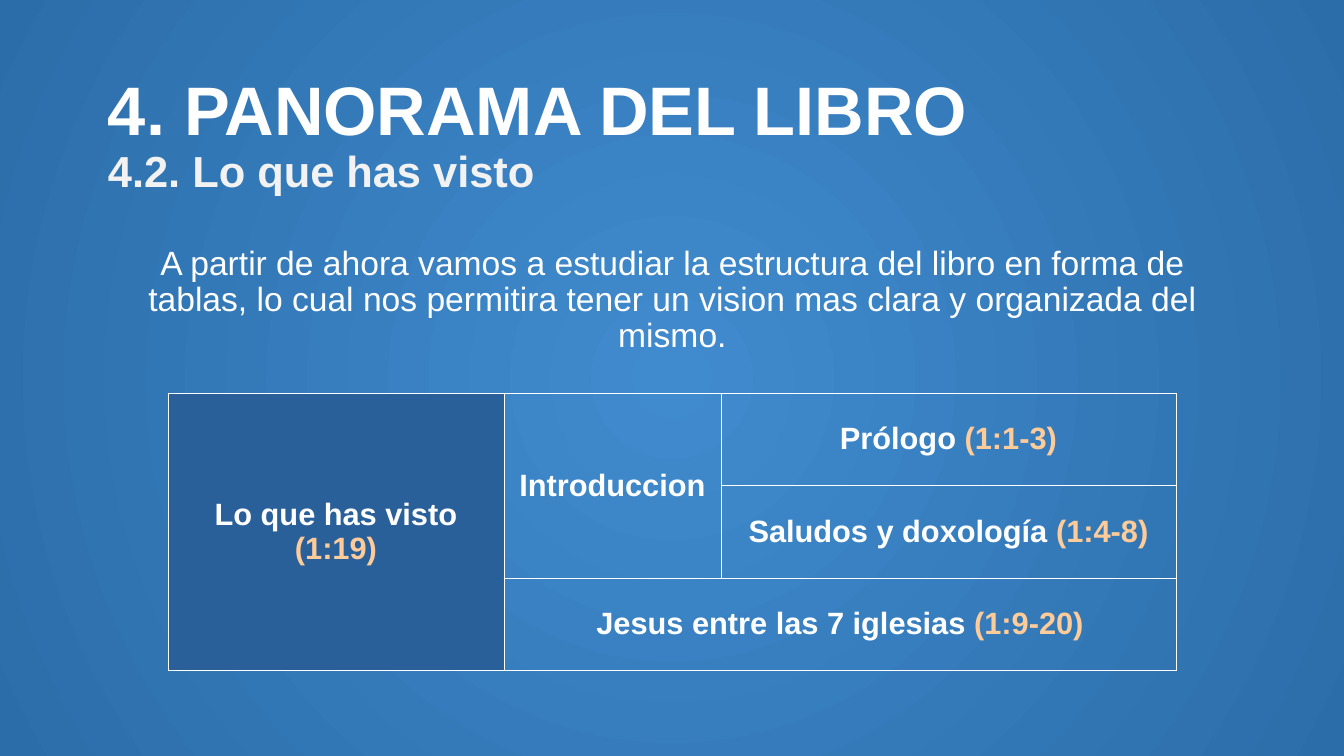
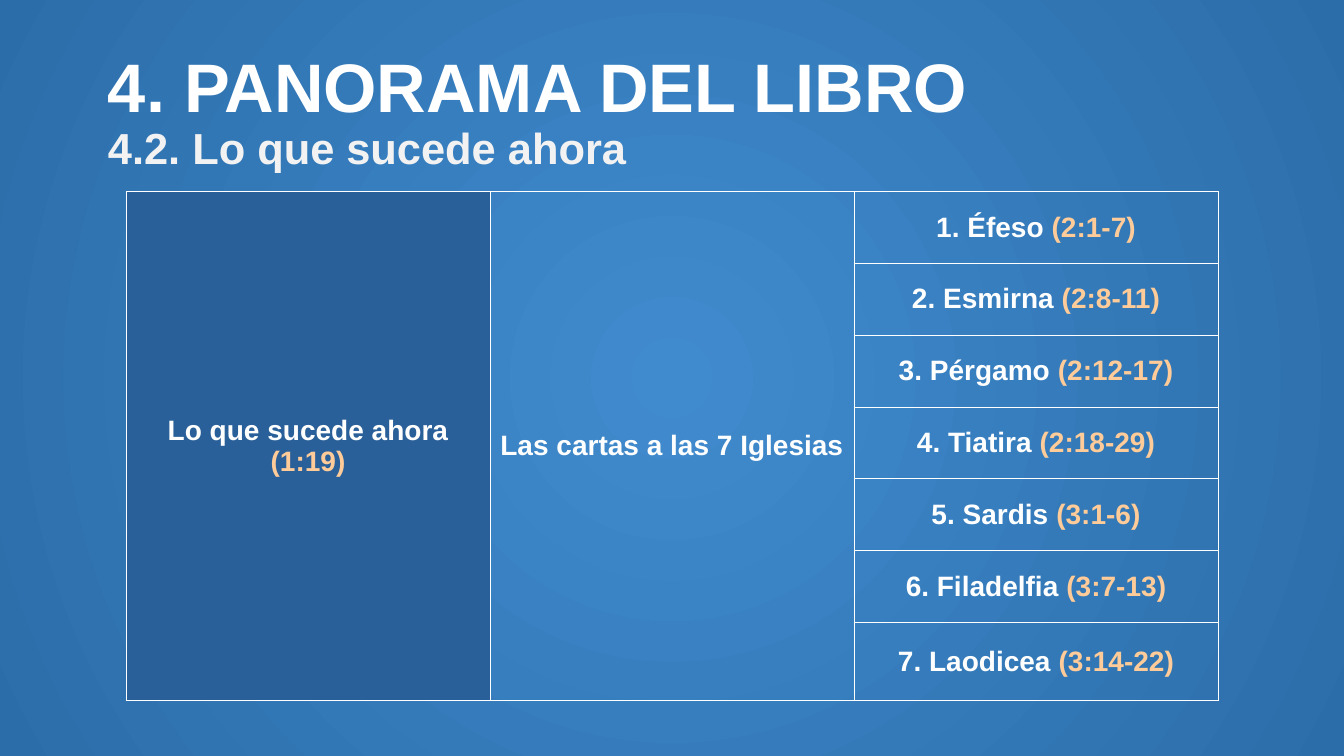
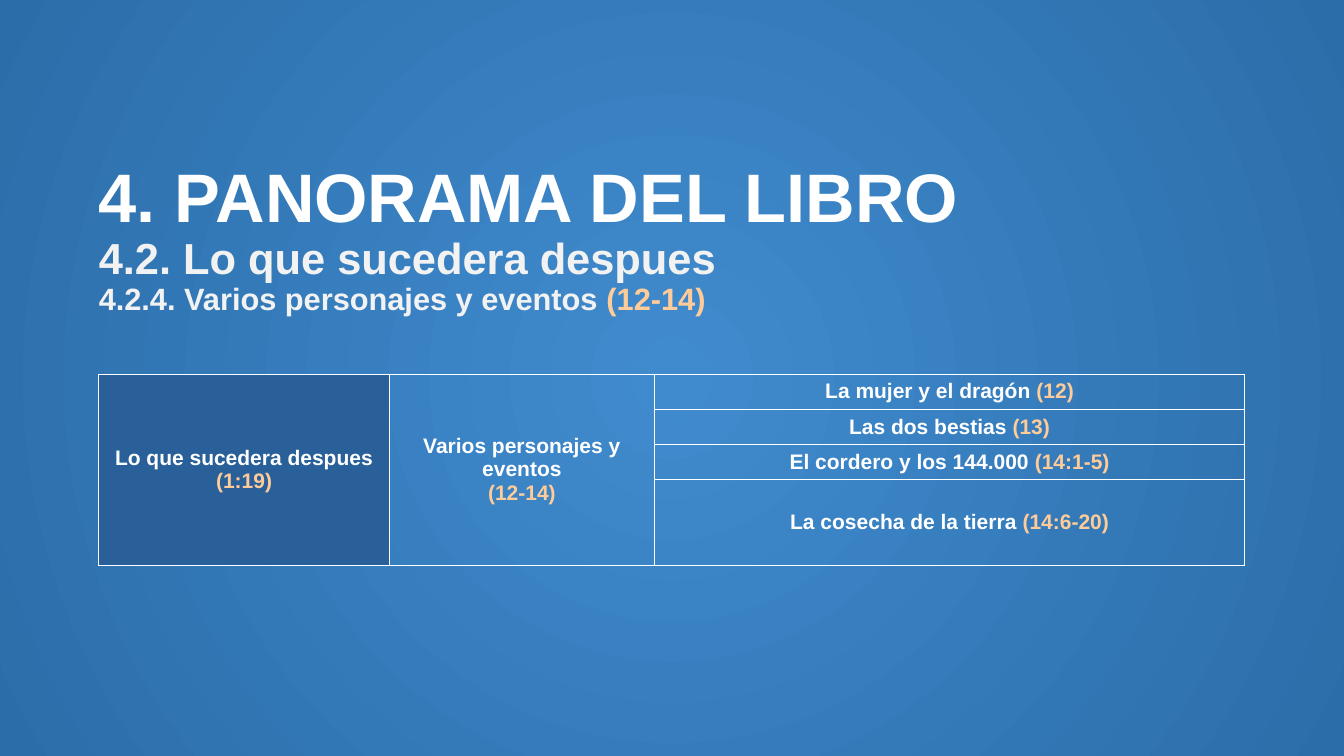
"""Build three slides that outline the structure of the book in tables."""
import copy

import lxml.etree
import pptx
import pptx.dml.color
import pptx.enum.text
import pptx.oxml
import pptx.oxml.ns
import pptx.util

RGB = pptx.dml.color.RGBColor
WHITE = RGB(0xFF, 0xFF, 0xFF)
PALE = RGB(0xF2, 0xF2, 0xF2)
PEACH = RGB(0xFF, 0xCC, 0x99)
NAVY = RGB(0x2A, 0x60, 0x99)
CENTRE_BLUE = RGB(0x40, 0x8B, 0xCE)
EDGE_BLUE = RGB(0x2B, 0x6D, 0xA9)

FONT = "Arial"
BORDER_WIDTH = pptx.util.Pt(0.57)
LEFT = pptx.enum.text.PP_ALIGN.LEFT
CENTER = pptx.enum.text.PP_ALIGN.CENTER
MIDDLE = pptx.enum.text.MSO_ANCHOR.MIDDLE
NAMESPACE = pptx.oxml.ns.nsdecls("a")


def write(paragraph, text, size, color=WHITE, bold=True):
    """Add text to a paragraph, with a reference in brackets in peach."""
    wording, bracket, reference = text.partition("(")
    for part, tint in ((wording, color), (bracket + reference, PEACH)):
        if part:
            run = paragraph.add_run()
            run.text = part
            run.font.name = FONT
            run.font.size = pptx.util.Pt(size)
            run.font.bold = bold
            run.font.color.rgb = tint
    return run


class Deck:
    """Hold the shared style and the current slide; places are percentages of the slide."""

    HEADING = "4. PANORAMA DEL LIBRO"
    HEADING_STYLES = ((49, WHITE), (31, PALE), (22, PALE))

    def __init__(self):
        self.show = pptx.Presentation()
        self.show.slide_width = pptx.util.Inches(13.33)
        self.show.slide_height = pptx.util.Inches(7.5)
        self.slide = None
        self.paint_background()

    def paint_background(self):
        fill = self.show.slide_master.background.fill
        fill.gradient()
        for stop, color in zip(fill.gradient_stops, (CENTRE_BLUE, EDGE_BLUE)):
            stop.color.rgb = color
        gradient = self.show.slide_master.element.find(".//" + pptx.oxml.ns.qn("a:gradFill"))
        linear = gradient.find(pptx.oxml.ns.qn("a:lin"))
        gradient.replace(linear, pptx.oxml.parse_xml(
            f'<a:path {NAMESPACE} path="circle">'
            '<a:fillToRect l="50000" t="50000" r="50000" b="50000"/></a:path>'))

    def area(self, left, top, width, height):
        across, down = self.show.slide_width / 100, self.show.slide_height / 100
        return [round(n) for n in (left * across, top * down, width * across, height * down)]

    def new_slide(self, layout):
        self.slide = self.show.slides.add_slide(self.show.slide_layouts[layout])

    def prepare(self, holder, place, align):
        holder.left, holder.top, holder.width, holder.height = self.area(*place)
        frame = holder.text_frame
        frame.word_wrap = True
        frame.auto_size = pptx.enum.text.MSO_AUTO_SIZE.NONE
        frame.vertical_anchor = MIDDLE
        paragraph = frame.paragraphs[0]
        paragraph.alignment = align
        paragraph.line_spacing = 0.9
        paragraph.space_before = pptx.util.Pt(0)
        return paragraph

    def title(self, left, top, *subtitles):
        paragraph = self.prepare(self.slide.shapes.title, (left, top, 85.5, 22.53), LEFT)
        run = None
        for line, (size, color) in zip((self.HEADING, *subtitles), self.HEADING_STYLES):
            if run is not None:
                paragraph.add_line_break()
                paragraph._p[-1].append(copy.deepcopy(run._r.rPr))
            run = write(paragraph, line, size, color)

    def body(self, place, text):
        paragraph = self.prepare(self.slide.placeholders[1], place, CENTER)
        properties = paragraph._p.get_or_add_pPr()
        properties.set("marL", "0")
        properties.set("indent", "0")
        lxml.etree.SubElement(properties, pptx.oxml.ns.qn("a:buNone"))
        write(paragraph, text, 24, bold=False)

    def table(self, place, columns, rows, size, entries):
        """Fill a table from entries that map (row, column, rows down, columns across) to text."""
        left, top, width, height = self.area(*place)
        grid = self.slide.shapes.add_table(
            len(rows), len(columns), left, top, width, height).table
        grid.first_row = grid.horz_banding = False
        for column, share in zip(grid.columns, columns):
            column.width = round(width * share / sum(columns))
        for row, share in zip(grid.rows, rows):
            row.height = round(height * share / sum(rows))
        for cell in grid.iter_cells():
            self.style_cell(cell)
        for (row, column, down, across), text in entries.items():
            cell = grid.cell(row, column)
            if down * across > 1:
                cell.merge(grid.cell(row + down - 1, column + across - 1))
            if column == 0:
                cell.fill.solid()
                cell.fill.fore_color.rgb = NAVY
            for number, line in enumerate(text.split("\n")):
                frame = cell.text_frame
                paragraph = frame.add_paragraph() if number else frame.paragraphs[0]
                paragraph.alignment = CENTER
                write(paragraph, line, size)

    def style_cell(self, cell):
        cell.vertical_anchor = MIDDLE
        cell.margin_left = cell.margin_right = pptx.util.Inches(0.04)
        cell.margin_top = cell.margin_bottom = pptx.util.Inches(0.05)
        cell.fill.background()
        for position, side in enumerate("LRTB"):
            cell._tc.get_or_add_tcPr().insert(position, pptx.oxml.parse_xml(
                f'<a:ln{side} {NAMESPACE} w="{BORDER_WIDTH}"><a:solidFill>'
                f'<a:srgbClr val="{WHITE}"/></a:solidFill></a:ln{side}>'))


def stacked(column, lines):
    """Place one line in each row of a column."""
    return {(row, column, 1, 1): line for row, line in enumerate(lines)}


def main():
    """Build and save the slides."""
    deck = Deck()

    deck.new_slide(1)
    deck.title(7.28, 6.8, "4.2. Lo que has visto")
    deck.body((9.3, 29.47, 81.45, 20.53),
              "A partir de ahora vamos a estudiar la estructura del libro en forma de tablas, "
              "lo cual nos permitira tener un vision mas clara y organizada del mismo.")
    deck.table((12.5, 52, 75, 36.67), (3.33, 2.15, 4.51), (1, 1, 1), 22, {
        (0, 0, 3, 1): "Lo que has visto\n(1:19)",
        (0, 1, 2, 1): "Introduccion",
        (2, 1, 1, 2): "Jesus entre las 7 iglesias (1:9-20)",
        **stacked(2, ("Prólogo (1:1-3)", "Saludos y doxología (1:4-8)")),
    })

    deck.new_slide(5)
    deck.title(7.28, 3.73, "4.2. Lo que sucede ahora")
    churches = ("Éfeso (2:1-7)", "Esmirna (2:8-11)", "Pérgamo (2:12-17)", "Tiatira (2:18-29)",
                "Sardis (3:1-6)", "Filadelfia (3:7-13)", "Laodicea (3:14-22)")
    deck.table((9.38, 25.33, 81.25, 67.33), (1, 1, 1), (0.71,) * 6 + (0.77,), 20, {
        (0, 0, 7, 1): "Lo que sucede ahora\n(1:19)",
        (0, 1, 7, 1): "Las cartas a las 7 Iglesias",
        **stacked(2, [f"{number}. {church}" for number, church in enumerate(churches, 1)]),
    })

    deck.new_slide(5)
    deck.title(6.6, 20.53, "4.2. Lo que sucedera despues",
               "4.2.4. Varios personajes y eventos (12-14)")
    deck.table((7.35, 49.47, 85.25, 25.33), (2.88, 2.63, 5.85), (0.35, 0.35, 0.35, 0.85), 15, {
        (0, 0, 4, 1): "Lo que sucedera despues\n(1:19)",
        (0, 1, 4, 1): "Varios personajes y eventos\n(12-14)",
        **stacked(2, ("La mujer y el dragón (12)", "Las dos bestias (13)",
                      "El cordero y los 144.000 (14:1-5)",
                      "La cosecha de la tierra (14:6-20)")),
    })

    deck.show.save("out.pptx")


if __name__ == "__main__":
    main()
